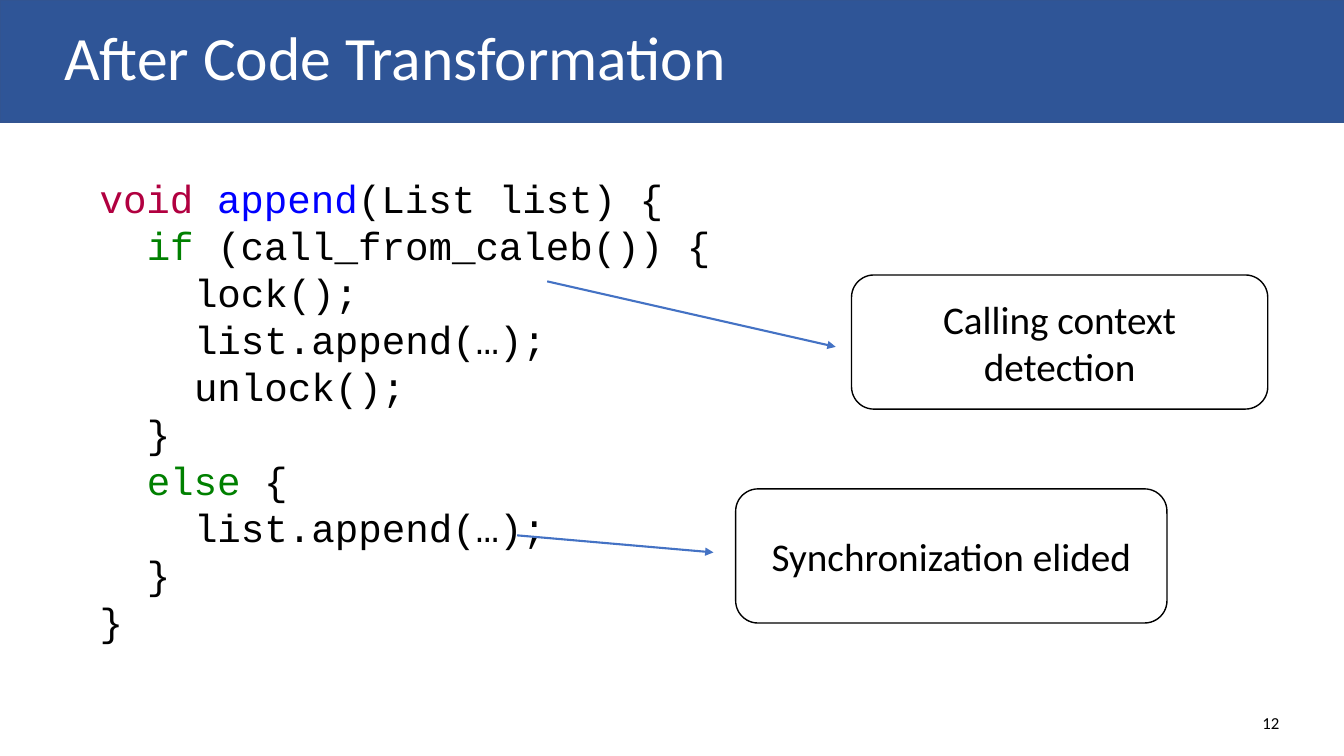
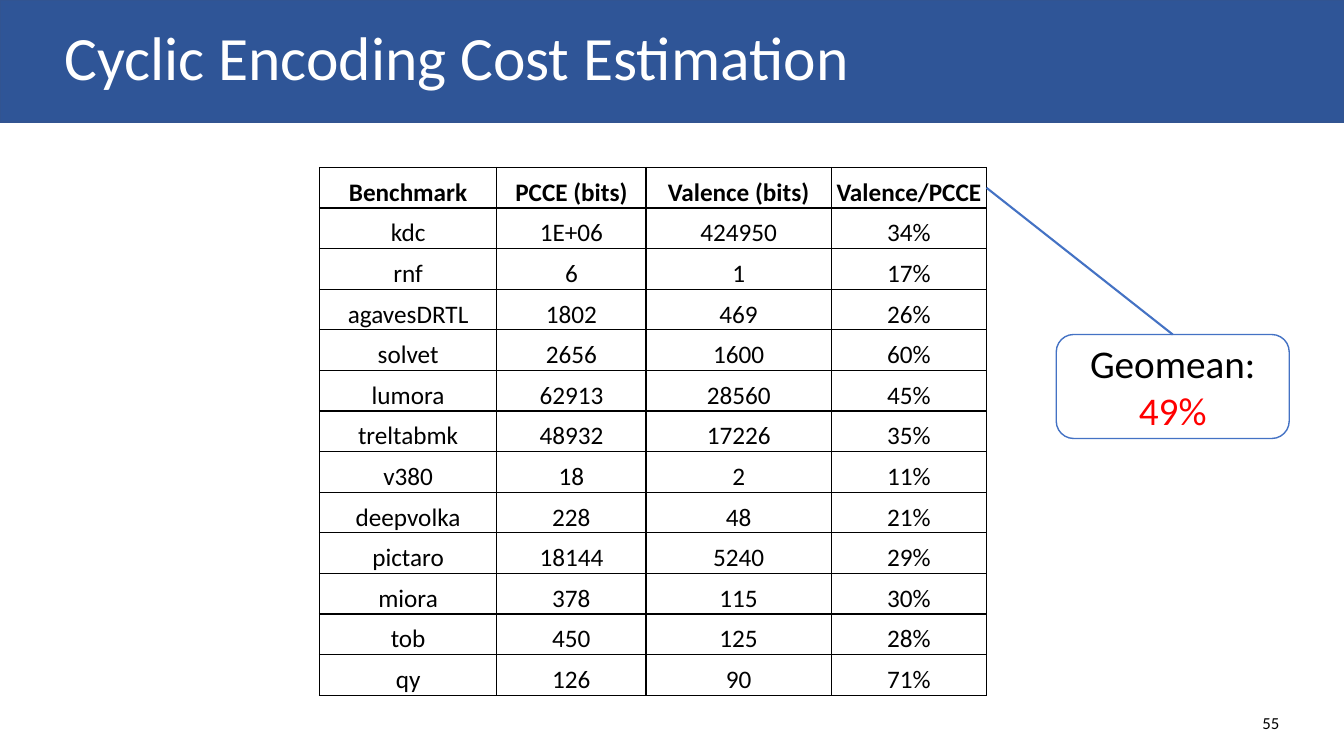
from lxml import etree
from pptx import Presentation
from pptx.dml.color import RGBColor
from pptx.enum.shapes import MSO_CONNECTOR, MSO_SHAPE
from pptx.enum.text import MSO_ANCHOR, PP_ALIGN
from pptx.oxml.ns import qn
from pptx.util import Cm, Pt

STRAIGHT = MSO_CONNECTOR.STRAIGHT
RECTANGLE, ROUNDED = MSO_SHAPE.RECTANGLE, MSO_SHAPE.ROUNDED_RECTANGLE
TOP, MIDDLE, BOTTOM = MSO_ANCHOR.TOP, MSO_ANCHOR.MIDDLE, MSO_ANCHOR.BOTTOM
LEFT, CENTER, RIGHT = PP_ALIGN.LEFT, PP_ALIGN.CENTER, PP_ALIGN.RIGHT
TOP_SIDE = 0

SLIDE_WIDTH, SLIDE_HEIGHT = 33.87, 19.05
BODY_FONT, CODE_FONT = "Calibri", "Courier New"
BLACK, WHITE, RED = "000000", "FFFFFF", "FF0000"
BAND_FILL, BAND_EDGE, ACCENT = "2F5597", "325491", "4472C4"
TYPE_COLOR, NAME_COLOR, KEYWORD_COLOR = "B10040", "0000FF", "008000"
CODE_SIZE, CODE_PITCH, CODE_INDENT = 28, 33.6, 1.19

CODE = [
    (0, [("void ", TYPE_COLOR), ("append", NAME_COLOR), ("(List list) {", BLACK)]),
    (1, [("if ", KEYWORD_COLOR), ("(call_from_caleb()) {", BLACK)]),
    (2, [("lock();", BLACK)]),
    (2, [("list.append(…);", BLACK)]),
    (2, [("unlock();", BLACK)]),
    (1, [("}", BLACK)]),
    (1, [("else ", KEYWORD_COLOR), ("{", BLACK)]),
    (2, [("list.append(…);", BLACK)]),
    (1, [("}", BLACK)]),
    (0, [("}", BLACK)]),
]

BENCHMARKS = [
    ("Benchmark", "PCCE (bits)", "Valence (bits)", "Valence/PCCE"),
    ("kdc", "1E+06", "424950", "34%"),
    ("rnf", "6", "1", "17%"),
    ("agavesDRTL", "1802", "469", "26%"),
    ("solvet", "2656", "1600", "60%"),
    ("lumora", "62913", "28560", "45%"),
    ("treltabmk", "48932", "17226", "35%"),
    ("v380", "18", "2", "11%"),
    ("deepvolka", "228", "48", "21%"),
    ("pictaro", "18144", "5240", "29%"),
    ("miora", "378", "115", "30%"),
    ("tob", "450", "125", "28%"),
    ("qy", "126", "90", "71%"),
]


def rgb(color):
    """Turn a hex string into a colour."""
    return RGBColor.from_string(color)


def lengths(box):
    """Turn a box in centimetres into lengths."""
    return [Cm(value) for value in box]


def style_run(run, size, color, font=BODY_FONT, bold=False):
    """Give a run its font, size and colour."""
    run.font.name = font
    run.font.size = Pt(size)
    run.font.bold = bold
    run.font.color.rgb = rgb(color)


def write(frame, text, size, colors, align=LEFT, anchor=MIDDLE, bold=False):
    """Fill a text frame, with one colour for each paragraph."""
    frame.text = text
    frame.word_wrap = True
    frame.vertical_anchor = anchor
    for paragraph, color in zip(frame.paragraphs, colors):
        paragraph.alignment = align
        for run in paragraph.runs:
            style_run(run, size, color, bold=bold)


def add_panel(slide, preset, box, fill, edge):
    """Draw a filled, outlined preset shape."""
    panel = slide.shapes.add_shape(preset, *lengths(box))
    panel.shadow.inherit = False
    panel.fill.solid()
    panel.fill.fore_color.rgb = rgb(fill)
    panel.line.color.rgb = rgb(edge)
    panel.line.width = Pt(1)
    return panel


def add_callout(slide, box, text, edge=BLACK, colors=(BLACK,)):
    """Draw a rounded remark with centred text."""
    callout = add_panel(slide, ROUNDED, box, WHITE, edge)
    write(callout.text_frame, text, 28, colors, CENTER)
    return callout


def add_pointer(slide, start, end, arrow=False):
    """Draw a straight accent line, with an arrowhead if wanted."""
    pointer = slide.shapes.add_connector(STRAIGHT, *lengths(start + end))
    pointer.line.color.rgb = rgb(ACCENT)
    pointer.line.width = Pt(1.5)
    if arrow:
        outline = pointer.line._get_or_add_ln()
        etree.SubElement(outline, qn("a:tailEnd"), type="triangle")
    etree.SubElement(pointer._element.spPr, qn("a:effectLst"))
    return pointer


def add_base_slide(deck, title, number):
    """Add a slide with the title band and the page number."""
    slide = deck.slides.add_slide(deck.slide_layouts[6])
    add_panel(slide, RECTANGLE, (0, 0, SLIDE_WIDTH, 3.08), BAND_FILL, BAND_EDGE)
    heading = slide.shapes.add_textbox(*lengths((1.37, 0, 31.12, 3.05)))
    write(heading.text_frame, title, 44, [WHITE])
    heading.text_frame.paragraphs[0].line_spacing = 0.9
    page = slide.shapes.add_textbox(*lengths((24.87, 17.7, 7.62, 1.02)))
    write(page.text_frame, number, 12, [BLACK], RIGHT)
    return slide


def add_code(slide, box, lines):
    """Write indented, coloured code lines."""
    frame = slide.shapes.add_textbox(*lengths(box)).text_frame
    frame.word_wrap = True
    frame.vertical_anchor = TOP
    for index, (level, tokens) in enumerate(lines):
        paragraph = frame.add_paragraph() if index else frame.paragraphs[0]
        paragraph.line_spacing = Pt(CODE_PITCH)
        paragraph._p.get_or_add_pPr().set("marL", str(Cm(level * CODE_INDENT)))
        for token, color in tokens:
            run = paragraph.add_run()
            run.text = token
            style_run(run, CODE_SIZE, color, CODE_FONT)


def add_borders(cell):
    """Give a cell thin black borders on all sides."""
    properties = cell._tc.get_or_add_tcPr()
    for index, side in enumerate(("a:lnL", "a:lnR", "a:lnT", "a:lnB")):
        border = etree.Element(qn(side), w=str(Pt(1)))
        fill = etree.SubElement(border, qn("a:solidFill"))
        etree.SubElement(fill, qn("a:srgbClr"), val=BLACK)
        properties.insert(index, border)


def add_benchmark_table(slide, left, top, widths, row_height, rows):
    """Add the bordered table with a bold heading row."""
    box = (left, top, sum(widths), row_height * len(rows))
    table = slide.shapes.add_table(len(rows), len(widths), *lengths(box)).table
    table.first_row = table.horz_banding = False
    for column, width in zip(table.columns, widths):
        column.width = Cm(width)
    for row_index, values in enumerate(rows):
        table.rows[row_index].height = Cm(row_height)
        for column_index, value in enumerate(values):
            cell = table.cell(row_index, column_index)
            cell.margin_left = cell.margin_right = cell.margin_top = Cm(0.03)
            cell.margin_bottom = 0
            write(cell.text_frame, value, 18, [BLACK], CENTER, bold=row_index == 0)
            cell.vertical_anchor = BOTTOM
            cell.fill.solid()
            cell.fill.fore_color.rgb = rgb(WHITE)
            add_borders(cell)


def build_code_slide(deck):
    """Build the slide with the transformed code and its remarks."""
    slide = add_base_slide(deck, "After Code Transformation", "12")
    add_code(slide, (2.26, 4.27, 17.48, 12.22), CODE)
    add_callout(slide, (21.46, 6.93, 10.49, 3.38), "Calling context detection")
    add_pointer(slide, (13.79, 7.09), (21.06, 8.74), arrow=True)
    add_callout(slide, (18.54, 12.32, 10.87, 3.38), "Synchronization elided")
    add_pointer(slide, (13.03, 13.49), (17.98, 13.92), arrow=True)


def build_cost_slide(deck):
    """Build the slide with the cost table and its mean."""
    slide = add_base_slide(deck, "Cyclic Encoding Cost Estimation", "55")
    left, top, row_height = 8.05, 4.22, 13.31 / len(BENCHMARKS)
    widths = (4.47, 3.76, 4.67, 3.91)
    add_benchmark_table(slide, left, top, widths, row_height, BENCHMARKS)
    geomean = add_callout(slide, (26.62, 8.43, 5.87, 2.62), "Geomean:\n49%",
                          ACCENT, (BLACK, RED))
    header_end = (left + sum(widths), top + row_height / 2)
    pointer = add_pointer(slide, header_end, (29.55, 8.43))
    pointer.end_connect(geomean, TOP_SIDE)


def main():
    """Build and save the deck."""
    deck = Presentation()
    deck.slide_width, deck.slide_height = Cm(SLIDE_WIDTH), Cm(SLIDE_HEIGHT)
    build_code_slide(deck)
    build_cost_slide(deck)
    deck.save("out.pptx")


if __name__ == "__main__":
    main()
